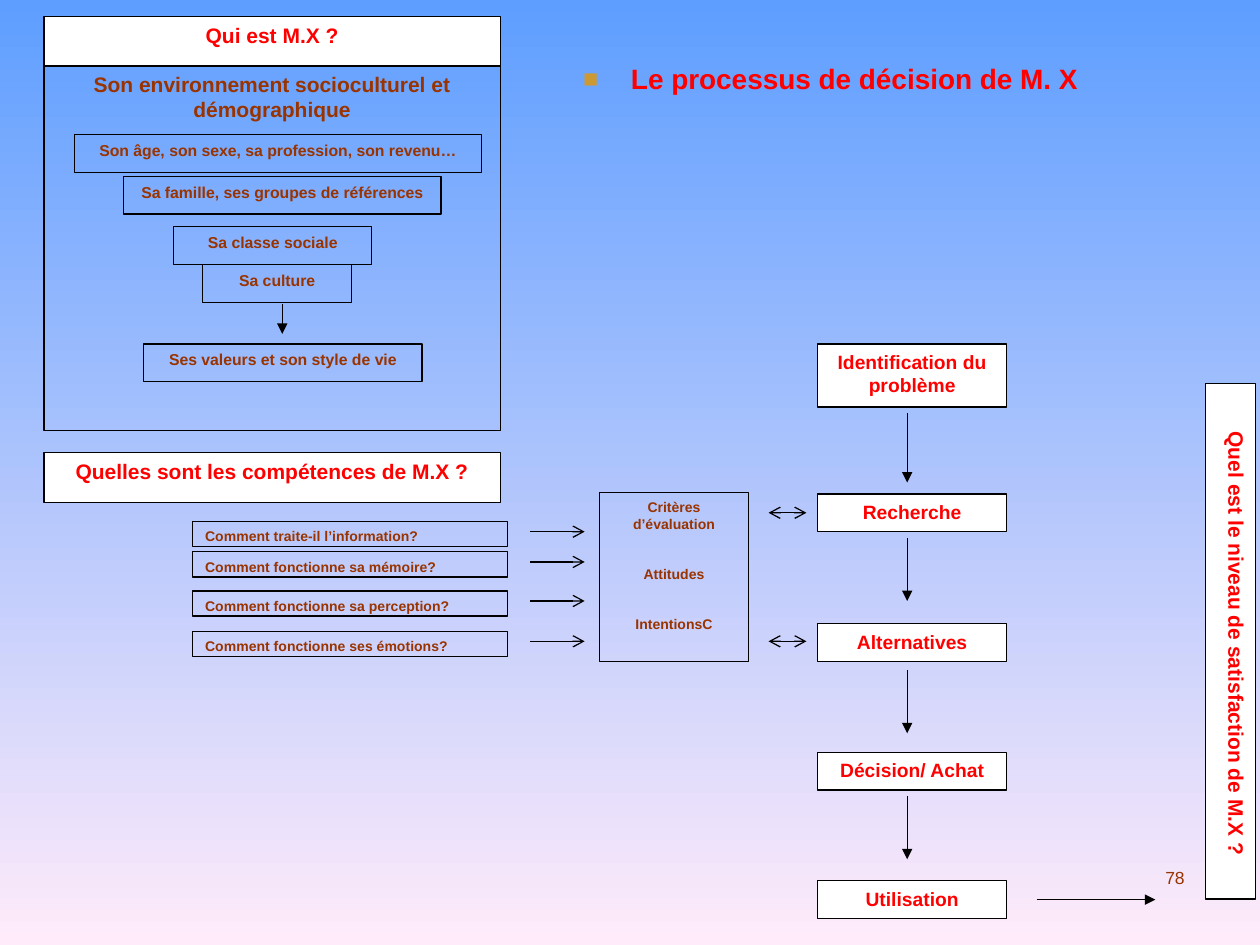
from dataclasses import dataclass

from lxml.etree import SubElement
from pptx import Presentation
from pptx.dml.color import RGBColor
from pptx.enum.shapes import MSO_CONNECTOR, MSO_SHAPE
from pptx.enum.text import MSO_ANCHOR, PP_ALIGN
from pptx.oxml.ns import qn
from pptx.util import Inches, Pt

RED, BROWN, BLACK, WHITE, GOLD = "FF0000", "993300", "000000", "FFFFFF", "CC9933"
FRAME_FORMAT = {
    "word_wrap": True,
    "vertical_anchor": MSO_ANCHOR.TOP,
    "margin_left": Inches(0.1),
    "margin_right": Inches(0.1),
    "margin_top": Inches(0.05),
    "margin_bottom": Inches(0.05),
}


@dataclass
class Box:
    text: str
    left: float
    top: float
    width: float
    height: float
    size: float
    color: str = BROWN
    fill: str | None = None
    align: PP_ALIGN = PP_ALIGN.CENTER
    bold: bool = True


@dataclass
class Arrow:
    x1: float
    y1: float
    x2: float
    y2: float
    tail: str = "triangle"
    head: str | None = None


def rgb(value: str) -> RGBColor:
    return RGBColor.from_string(value)


def apply(target, values: dict) -> None:
    for name, value in values.items():
        setattr(target, name, value)


def write_text(frame, box: Box) -> None:
    apply(frame, FRAME_FORMAT)
    frame.text = box.text
    for paragraph in frame.paragraphs:
        paragraph.alignment = box.align
        for run in paragraph.runs:
            apply(run.font, {"name": "Arial", "size": Pt(box.size), "bold": box.bold})
            run.font.color.rgb = rgb(box.color)


def place(box: Box) -> list:
    return [Inches(v) for v in (box.left, box.top, box.width, box.height)]


def draw_box(slide, box: Box):
    shape = slide.shapes.add_shape(MSO_SHAPE.RECTANGLE, *place(box))
    shape.shadow.inherit = False
    if box.fill:
        shape.fill.solid()
        shape.fill.fore_color.rgb = rgb(box.fill)
    else:
        shape.fill.background()
    shape.line.color.rgb = rgb(BLACK)
    shape.line.width = Pt(0.75)
    write_text(shape.text_frame, box)
    return shape


def draw_label(slide, box: Box):
    label = slide.shapes.add_textbox(*place(box))
    write_text(label.text_frame, box)
    return label


def draw_arrow(slide, arrow: Arrow) -> None:
    ends = [Inches(v) for v in (arrow.x1, arrow.y1, arrow.x2, arrow.y2)]
    line = slide.shapes.add_connector(MSO_CONNECTOR.STRAIGHT, *ends)
    line.line.color.rgb = rgb(BLACK)
    line.line.width = Pt(0.75)
    outline = line.line._get_or_add_ln()
    for tag, kind in (("a:headEnd", arrow.head), ("a:tailEnd", arrow.tail)):
        if kind:
            SubElement(outline, qn(tag), type=kind)
    SubElement(line._element.spPr, qn("a:effectLst"))


def add_bullet(paragraph) -> None:
    properties = paragraph._p.get_or_add_pPr()
    indent = Inches(0.38)
    properties.set("marL", str(indent))
    properties.set("indent", str(-indent))
    color = SubElement(properties, qn("a:buClr"))
    SubElement(color, qn("a:srgbClr"), val=GOLD)
    SubElement(properties, qn("a:buSzPct"), val="90000")
    SubElement(properties, qn("a:buFont"), typeface="Arial")
    SubElement(properties, qn("a:buChar"), char="■")


def draw_identity(slide) -> None:
    draw_box(slide, Box("Qui est M.X ?", 0.35, 0.13, 3.62, 0.4, 12, RED, WHITE))
    draw_box(slide, Box("Son environnement socioculturel et démographique",
                        0.35, 0.52, 3.62, 2.9, 12))
    for text, left, top, width in (
        ("Son âge, son sexe, sa profession, son revenu…", 0.59, 1.07, 3.23),
        ("Sa famille, ses groupes de références", 0.98, 1.4, 2.52),
        ("Sa classe sociale", 1.38, 1.8, 1.57),
        ("Sa culture", 1.61, 2.1, 1.18),
        ("Ses valeurs et son style de vie", 1.14, 2.73, 2.21),
    ):
        draw_box(slide, Box(text, left, top, width, 0.3, 9))
    draw_arrow(slide, Arrow(2.24, 2.41, 2.24, 2.65))


def draw_skills(slide) -> None:
    draw_box(slide, Box("Quelles sont les compétences de M.X ?",
                        0.35, 3.59, 3.62, 0.4, 12, RED, WHITE))
    for question, top in (
        ("Comment traite-il l’information?", 4.14),
        ("Comment fonctionne sa mémoire?", 4.38),
        ("Comment fonctionne sa perception?", 4.69),
        ("Comment fonctionne ses émotions?", 5.01),
    ):
        draw_box(slide, Box(question, 1.53, top, 2.5, 0.2, 8, align=PP_ALIGN.LEFT))
        draw_arrow(slide, Arrow(4.21, top + 0.08, 4.64, top + 0.08, "arrow"))


def draw_criteria(slide) -> None:
    criteria = draw_box(slide, Box("Critères\nd’évaluation\nAttitudes\nIntentionsC",
                                   4.76, 3.91, 1.18, 1.34, 8))
    for paragraph in criteria.text_frame.paragraphs[2:]:
        paragraph.space_before = Pt(19)
    for y in (4.07, 5.09):
        draw_arrow(slide, Arrow(6.4, y, 6.1, y, "arrow", "arrow"))


def draw_process(slide) -> None:
    title = draw_label(slide, Box("Le processus de décision de M. X", 4.53, 0.44, 4.8, 0.47,
                                  16, RED, align=PP_ALIGN.LEFT))
    add_bullet(title.text_frame.paragraphs[0])
    for step, top, height in (
        ("Identification du problème", 2.73, 0.5),
        ("Recherche", 3.92, 0.3),
        ("Alternatives", 4.95, 0.3),
        ("Décision/ Achat", 5.97, 0.3),
        ("Utilisation", 6.99, 0.3),
    ):
        draw_box(slide, Box(step, 6.49, top, 1.5, height, 11, RED, WHITE))
    for start, end in ((3.28, 3.83), (4.27, 4.77), (5.32, 5.82), (6.32, 6.82)):
        draw_arrow(slide, Arrow(7.2, start, 7.2, end))
    draw_arrow(slide, Arrow(8.23, 7.14, 9.17, 7.14))

    satisfaction = draw_box(slide, Box("Quel est le niveau de satisfaction de M.X ?",
                                       7.72, 4.89, 4.09, 0.4, 12, RED, WHITE, PP_ALIGN.LEFT))
    satisfaction.rotation = 90
    satisfaction.text_frame.margin_left = Inches(0.38)


def main() -> None:
    deck = Presentation()
    apply(deck, {"slide_width": Inches(10), "slide_height": Inches(7.5)})
    slide = deck.slides.add_slide(deck.slide_layouts[6])

    # Background, blue down to pink
    sky = slide.background.fill
    sky.gradient()
    sky.gradient_angle = 270
    for stop, color in zip(sky.gradient_stops, ("5E9EFF", "FFEBFA")):
        stop.color.rgb = rgb(color)

    # Page number
    draw_label(slide, Box("78", 7.42, 6.83, 2.08, 0.5, 10, align=PP_ALIGN.RIGHT, bold=False))

    # Decision process on the right, buyer profile on the left
    draw_process(slide)
    draw_criteria(slide)
    draw_identity(slide)
    draw_skills(slide)
    deck.save("out.pptx")


if __name__ == "__main__":
    main()
